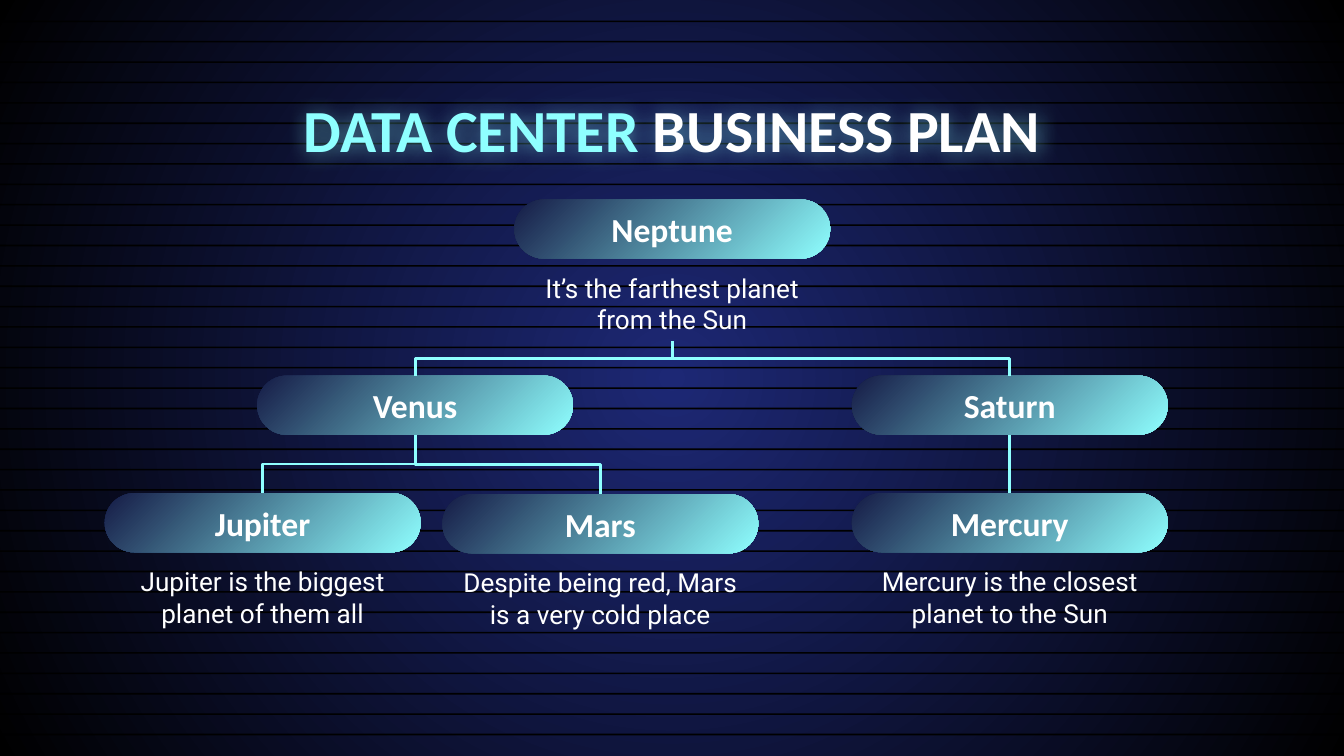
"""Build the data center business plan slide: a tree of planets on a striped dark background."""
from dataclasses import dataclass

from lxml import etree
from pptx import Presentation
from pptx.dml.color import RGBColor
from pptx.enum.shapes import MSO_CONNECTOR, MSO_SHAPE
from pptx.enum.text import MSO_ANCHOR, PP_ALIGN
from pptx.oxml.ns import qn
from pptx.util import Cm, Pt

ROUNDED, RECT = MSO_SHAPE.ROUNDED_RECTANGLE, MSO_SHAPE.RECTANGLE
ELBOW, STRAIGHT = MSO_CONNECTOR.ELBOW, MSO_CONNECTOR.STRAIGHT
TOP, MIDDLE, CENTER = MSO_ANCHOR.TOP, MSO_ANCHOR.MIDDLE, PP_ALIGN.CENTER
TOP_SITE, BOTTOM_SITE = 0, 2
TITLE_ONLY = 5


@dataclass(frozen=True)
class Theme:
    """Colours, fonts and type sizes."""
    white: str = "FFFFFF"
    black: str = "000000"
    cyan: str = "8FFFFF"
    navy: str = "151B46"
    blue: str = "1D2875"
    head_font: str = "Calibri"
    body_font: str = "Roboto"
    title_size: float = 32
    name_size: float = 18
    body_size: float = 14
    line_width: float = 1.5


THEME = Theme()
TITLE = [("DATA CENTER ", THEME.cyan), ("BUSINESS PLAN", THEME.white)]
PLANETS = [
    ("Venus", 4.86, 7.1, ""),
    ("Saturn", 16.1, 7.1, ""),
    ("Neptune", 9.72, 3.77, "It’s the farthest planet from the Sun"),
    ("Mars", 8.36, 9.34, "Despite being red, Mars is a very cold place"),
    ("Jupiter", 1.98, 9.32, "Jupiter is the biggest planet of them all"),
    ("Mercury", 16.1, 9.32, "Mercury is the closest planet to the Sun"),
]
LINKS = [("Venus", "Jupiter"), ("Venus", "Mars"), ("Saturn", "Mercury"),
         ("Neptune", "Venus"), ("Neptune", "Saturn")]
SLIDE_W, SLIDE_H = 25.4, 14.29
PILL_W, PILL_H, TEXT_H = 5.97, 1.12, 1.56
STRIPES, STRIPE_FIRST, STRIPE_LAST, STRIPE_H = 36, 0.39, 13.87, 0.03
INSET = 0.25


def rgb(color):
    return RGBColor.from_string(color)


def write(sp, runs, font, size, bold, anchor):
    tf = sp.text_frame
    tf.word_wrap = True
    tf.vertical_anchor = anchor
    tf.margin_left = tf.margin_right = tf.margin_top = tf.margin_bottom = Cm(INSET)
    p = tf.paragraphs[0]
    p.alignment = CENTER
    for text, color in runs:
        r = p.add_run()
        r.text = text
        r.font.name, r.font.size, r.font.bold = font, Pt(size), bold
        r.font.color.rgb = rgb(color)


def gradient(fill, colors):
    fill.gradient()
    for stop, color in zip(fill.gradient_stops, colors):
        stop.color.rgb = rgb(color)


def add_background(s):
    gradient(s.background.fill, (THEME.blue, THEME.black))
    lin = s.element.find(".//" + qn("a:lin"))
    circle = etree.Element(qn("a:path"), path="circle")
    etree.SubElement(circle, qn("a:fillToRect"), l="50000", t="50000", r="50000", b="50000")
    lin.getparent().replace(lin, circle)
    step = (STRIPE_LAST - STRIPE_FIRST) / (STRIPES - 1)
    for i in range(STRIPES):
        sp = s.shapes.add_shape(RECT, 0, Cm(STRIPE_FIRST + i * step), Cm(SLIDE_W), Cm(STRIPE_H))
        sp.shadow.inherit = False
        sp.fill.solid()
        sp.fill.fore_color.rgb = rgb(THEME.black)
        sp.line.fill.background()


def add_title(s):
    sp = s.shapes.title
    sp.element.getparent().append(sp.element)
    sp.left, sp.top, sp.width, sp.height = Cm(1.98), Cm(1.5), Cm(21.44), Cm(1.57)
    write(sp, TITLE, THEME.head_font, THEME.title_size, True, TOP)
    sp.shadow.inherit = False
    effects = sp.element.spPr.find(qn("a:effectLst"))
    glow = etree.SubElement(effects, qn("a:outerShdw"), blurRad=str(Cm(0.4)), dist="0", dir="0")
    color = etree.SubElement(glow, qn("a:srgbClr"), val=THEME.cyan)
    etree.SubElement(color, qn("a:alpha"), val="50000")


def add_planet(s, name, left, top, text):
    """Draw the pill and its text; return the pill and the lowest shape."""
    pill = s.shapes.add_shape(ROUNDED, Cm(left), Cm(top), Cm(PILL_W), Cm(PILL_H))
    pill.adjustments[0] = 0.5
    pill.shadow.inherit = False
    gradient(pill.fill, (THEME.navy, THEME.cyan))
    pill.fill.gradient_angle = 315
    pill.line.fill.background()
    write(pill, [(name, THEME.white)], THEME.head_font, THEME.name_size, True, MIDDLE)
    if not text:
        return pill, pill
    box = s.shapes.add_textbox(Cm(left), Cm(top + PILL_H), Cm(PILL_W), Cm(TEXT_H))
    write(box, [(text, THEME.white)], THEME.body_font, THEME.body_size, False, TOP)
    return pill, box


def add_link(s, parent, child):
    x1, y1 = parent.left + parent.width // 2, parent.top + parent.height
    x2, y2 = child.left + child.width // 2, child.top
    dx, dy = x2 - x1, y2 - y1
    link = s.shapes.add_connector(ELBOW if dx else STRAIGHT, x1, y1, x2, y2)
    link.begin_connect(parent, BOTTOM_SITE)
    link.end_connect(child, TOP_SITE)
    link.line.color.rgb = rgb(THEME.cyan)
    link.line.width = Pt(THEME.line_width)
    sp_pr = link.element.spPr
    etree.SubElement(sp_pr, qn("a:effectLst"))
    if dx:
        link.width, link.height = dy, abs(dx)
        link.left, link.top = (x1 + x2 - dy) // 2, (y1 + y2 - abs(dx)) // 2
        xfrm = sp_pr.find(qn("a:xfrm"))
        xfrm.set("rot", str((90 if dx < 0 else 270) * 60000))
        xfrm.set("flipH", "0" if dx < 0 else "1")


def main():
    prs = Presentation()
    prs.slide_width, prs.slide_height = Cm(SLIDE_W), Cm(SLIDE_H)
    s = prs.slides.add_slide(prs.slide_layouts[TITLE_ONLY])
    add_background(s)
    add_title(s)
    nodes = {planet[0]: add_planet(s, *planet) for planet in PLANETS}
    for parent, child in LINKS:
        add_link(s, nodes[parent][1], nodes[child][0])
    prs.save("out.pptx")


if __name__ == "__main__":
    main()
